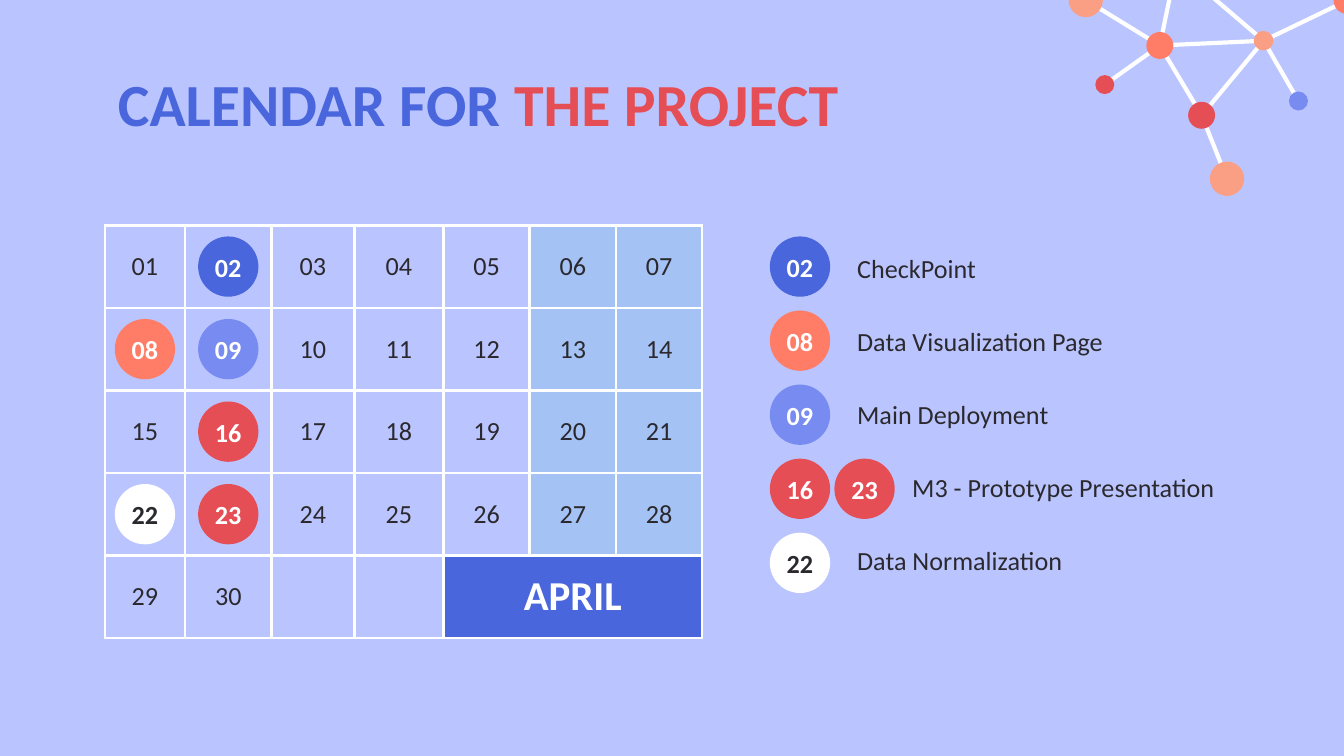
from dataclasses import dataclass

from lxml.etree import SubElement
from pptx import Presentation
from pptx.dml.color import RGBColor
from pptx.enum.shapes import MSO_CONNECTOR, MSO_SHAPE
from pptx.enum.text import MSO_ANCHOR, PP_ALIGN
from pptx.oxml.ns import qn
from pptx.util import Cm, Pt


@dataclass(frozen=True)
class Theme:
    font: str = "Calibri"
    background: str = "BAC5FF"
    ink: str = "2B292E"
    white: str = "FFFFFF"
    blue: str = "4A66DD"
    periwinkle: str = "788BF1"
    red: str = "E54E55"
    coral: str = "FF7C67"
    peach: str = "FA9E84"
    weekend: str = "A4C2F4"
    body: int = 14
    month: int = 22
    title: int = 32
    border: float = 1.5
    link: float = 2.25


THEME = Theme()
DISC = 1.14
COLUMNS = [1.52, 1.63, 1.57, 1.68, 1.63, 1.63, 1.63]
ROWS = 5
LAST_DAY = 30

# Days, milestone, disc colour, label offset from the left of the legend
MILESTONES = [
    ([2], "CheckPoint", THEME.blue, 1.4),
    ([8], "Data Visualization Page", THEME.coral, 1.4),
    ([9], "Main Deployment", THEME.periwinkle, 1.4),
    ([16, 23], "M3 - Prototype Presentation", THEME.red, 2.44),
    ([22], "Data Normalization", THEME.white, 1.4),
]

# Centre x, centre y, diameter, colour
NODES = {
    "apex": (2.03, -0.64, 0, None),
    "hub": (1.72, 0.86, 0.51, THEME.coral),
    "east": (3.68, 0.77, 0.37, THEME.peach),
    "south": (2.51, 2.18, 0.51, THEME.red),
    "tail": (2.99, 3.38, 0.65, THEME.peach),
    "west": (0.68, 1.6, 0.36, THEME.red),
    "northwest": (0.32, 0, 0.65, THEME.peach),
    "northeast": (5.26, 0.01, 0.51, THEME.coral),
    "southeast": (4.34, 1.91, 0.36, THEME.periwinkle),
}
LINKS = [
    ("apex", "hub"), ("apex", "east"), ("hub", "west"), ("hub", "south"),
    ("hub", "east"), ("hub", "northwest"), ("east", "south"),
    ("east", "northeast"), ("east", "southeast"), ("south", "tail"),
]


def rgb(colour):
    return RGBColor.from_string(colour)


def style(font, size, colour, bold=False):
    font.name, font.size, font.bold = THEME.font, Pt(size), bold
    font.color.rgb = rgb(colour)


def add_text_box(slide, left, top, width, height, margin_y):
    frame = slide.shapes.add_textbox(Cm(left), Cm(top), Cm(width), Cm(height)).text_frame
    frame.word_wrap = True
    frame.margin_left = frame.margin_right = Cm(0.25)
    frame.margin_top = frame.margin_bottom = Cm(margin_y)
    return frame.paragraphs[0]


def add_disc(slide, x, y, diameter, colour):
    """Draw a plain disc centred on x, y."""
    disc = slide.shapes.add_shape(
        MSO_SHAPE.OVAL, Cm(x - diameter / 2), Cm(y - diameter / 2), Cm(diameter), Cm(diameter))
    disc.shadow.inherit = False
    disc.fill.solid()
    disc.fill.fore_color.rgb = rgb(colour)
    disc.line.fill.background()
    return disc


def add_day_disc(slide, x, y, day, colour):
    frame = add_disc(slide, x, y, DISC, colour).text_frame
    frame.margin_left = frame.margin_right = frame.margin_top = frame.margin_bottom = 0
    frame.vertical_anchor = MSO_ANCHOR.MIDDLE
    number = frame.paragraphs[0]
    number.text = f"{day:02}"
    number.alignment = PP_ALIGN.CENTER
    style(number.font, THEME.body, THEME.ink if colour == THEME.white else THEME.white, True)


def add_network(slide, left, top):
    for start, end in LINKS:
        x1, y1 = NODES[start][:2]
        x2, y2 = NODES[end][:2]
        link = slide.shapes.add_connector(
            MSO_CONNECTOR.STRAIGHT, Cm(left + x1), Cm(top + y1), Cm(left + x2), Cm(top + y2))
        link.line.color.rgb = rgb(THEME.white)
        link.line.width = Pt(THEME.link)
        SubElement(link.element.spPr, qn("a:effectLst"))
    for x, y, diameter, colour in NODES.values():
        if colour:
            add_disc(slide, left + x, top + y, diameter, colour)


def add_title(slide, left, top, width, height):
    title = add_text_box(slide, left, top, width, height, 0.25)
    for words, colour in [("CALENDAR FOR", THEME.blue), (" THE PROJECT", THEME.red)]:
        run = title.add_run()
        run.text = words
        style(run.font, THEME.title, colour, True)


def add_borders(cell):
    properties = cell._tc.get_or_add_tcPr()
    for side in ("lnL", "lnR", "lnT", "lnB"):
        line = SubElement(properties, qn(f"a:{side}"), w=str(Pt(THEME.border)))
        SubElement(SubElement(line, qn("a:solidFill")), qn("a:srgbClr"), val=THEME.white)


def fill_cell(cell, text, fill, size=THEME.body, colour=THEME.ink, bold=False):
    add_borders(cell)
    if fill:
        cell.fill.solid()
        cell.fill.fore_color.rgb = rgb(fill)
    else:
        cell.fill.background()
    cell.margin_left = cell.margin_right = cell.margin_top = cell.margin_bottom = Cm(0.25)
    cell.vertical_anchor = MSO_ANCHOR.MIDDLE
    paragraph = cell.text_frame.paragraphs[0]
    paragraph.text = text
    paragraph.alignment = PP_ALIGN.CENTER
    style(paragraph.font, size, colour, bold)


def add_calendar(slide, left, top, height):
    """Draw the month grid, then a disc over each milestone day."""
    days = len(COLUMNS)
    row_height = height / ROWS
    table = slide.shapes.add_table(
        ROWS, days, Cm(left), Cm(top), Cm(sum(COLUMNS)), Cm(height)).table
    table.first_row = table.horz_banding = False
    for column, width in zip(table.columns, COLUMNS):
        column.width = Cm(width)
    table.cell(ROWS - 1, 4).merge(table.cell(ROWS - 1, days - 1))
    for row in range(ROWS):
        table.rows[row].height = Cm(row_height)
        for column in range(days):
            cell = table.cell(row, column)
            day = row * days + column + 1
            if cell.is_merge_origin:
                fill_cell(cell, "APRIL", THEME.blue, THEME.month, THEME.white, True)
            elif day <= LAST_DAY:
                fill_cell(cell, f"{day:02}", THEME.weekend if column >= 5 else None)
            else:
                fill_cell(cell, "", None)

    for milestone_days, _, colour, _ in MILESTONES:
        for day in milestone_days:
            row, column = divmod(day - 1, days)
            x = left + sum(COLUMNS[:column]) + COLUMNS[column] / 2
            add_day_disc(slide, x, top + (row + 0.5) * row_height, day, colour)


def add_legend(slide, left, top):
    for index, (days, milestone, colour, offset) in enumerate(MILESTONES):
        for place, day in enumerate(days):
            add_day_disc(slide, left + DISC / 2 + place * 1.22,
                         top + DISC / 2 + index * 1.4, day, colour)
        label = add_text_box(slide, left + offset, top + 0.31 + index * 1.38, 8, 1.35, 0)
        label.text = milestone
        style(label.font, THEME.body, THEME.ink)


def main():
    deck = Presentation()
    deck.slide_width, deck.slide_height = Cm(25.4), Cm(14.29)
    slide = deck.slides.add_slide(deck.slide_layouts[6])
    slide.background.fill.solid()
    slide.background.fill.fore_color.rgb = rgb(THEME.background)
    add_network(slide, 20.2, 0)
    add_title(slide, 1.98, 1.02, 21.46, 1.6)
    add_calendar(slide, 1.98, 4.26, 7.8)
    add_legend(slide, 14.55, 4.47)
    deck.save("out.pptx")


if __name__ == "__main__":
    main()
